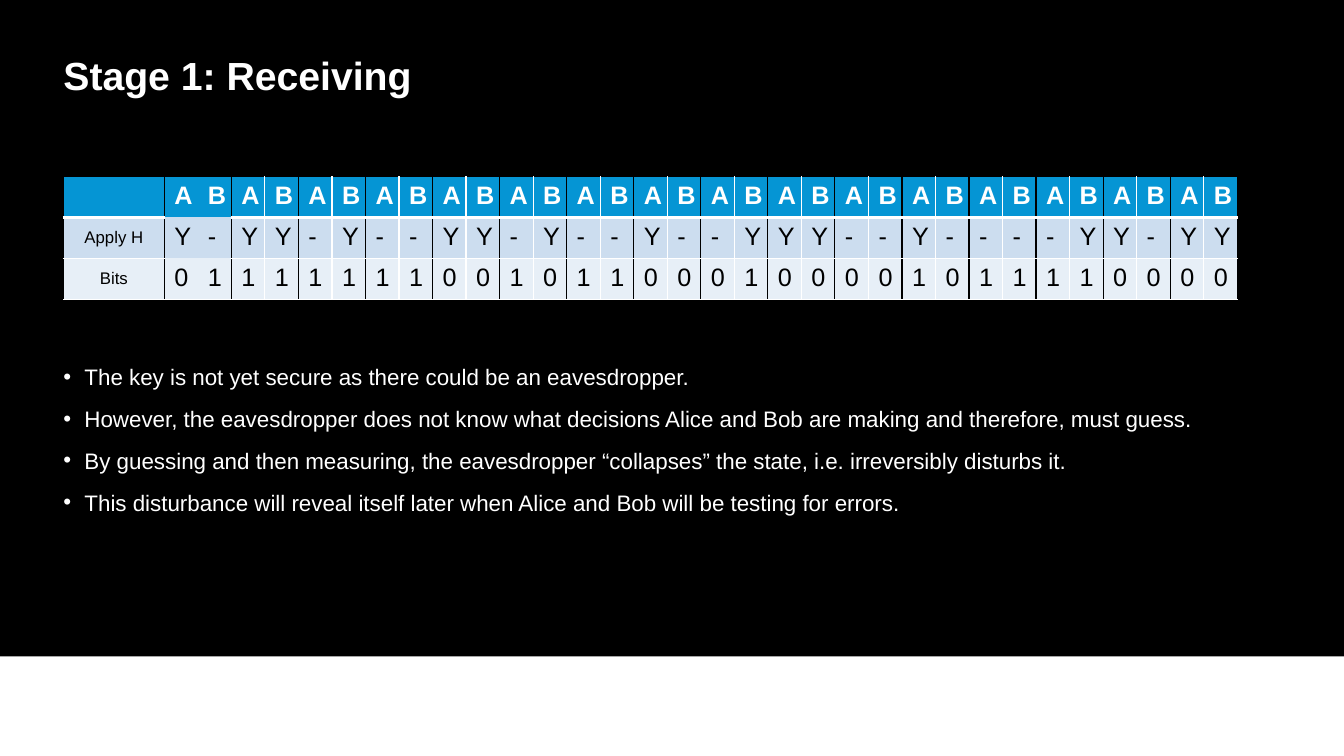
from lxml import etree
from pptx import Presentation
from pptx.dml.color import RGBColor
from pptx.enum.shapes import MSO_SHAPE
from pptx.enum.text import MSO_ANCHOR, PP_ALIGN
from pptx.oxml.ns import qn
from pptx.util import Cm, Pt

RECT = MSO_SHAPE.RECTANGLE
TOP, MIDDLE = MSO_ANCHOR.TOP, MSO_ANCHOR.MIDDLE
LEFT, CENTER = PP_ALIGN.LEFT, PP_ALIGN.CENTER

BLACK = RGBColor(0x00, 0x00, 0x00)
WHITE = RGBColor(0xFF, 0xFF, 0xFF)
BLUE = RGBColor(0x05, 0x95, 0xD4)
BAND_DARK = RGBColor(0xCC, 0xDD, 0xEF)
BAND_LIGHT = RGBColor(0xE7, 0xEF, 0xF7)

FONT = "Arial"
MARGIN, CONTENT_W = 1.6, 29.58
LABEL_W, ROW_H = 2.54, 1.03
HEADER = "AB" * 16
APPLY_H = "Y-YY-Y--YY-Y--Y--YYY--Y----YY-YY"
BITS = "01111111001011000100001011110000"
ROWS = [("", HEADER, BLUE), ("Apply H", APPLY_H, BAND_DARK), ("Bits", BITS, BAND_LIGHT)]
POINTS = [
    "The key is not yet secure as there could be an eavesdropper.",
    "However, the eavesdropper does not know what decisions Alice and Bob are making "
    "and therefore, must guess.",
    "By guessing and then measuring, the eavesdropper “collapses” the state, "
    "i.e. irreversibly disturbs it.",
    "This disturbance will reveal itself later when Alice and Bob will be testing for errors.",
]


def write(tf, lines, size, color=WHITE, bold=False, align=LEFT, spacing=1.0,
          after=0, bullet=False):
    for i, line in enumerate(lines):
        p = tf.paragraphs[0] if i == 0 else tf.add_paragraph()
        if bullet:
            pPr = p._p.get_or_add_pPr()
            pPr.set("marL", str(Cm(0.53)))
            pPr.set("indent", str(-Cm(0.53)))
            etree.SubElement(pPr, qn("a:buFont"), typeface=FONT)
            etree.SubElement(pPr, qn("a:buChar"), char="•")
        p.alignment, p.line_spacing, p.space_after = align, spacing, Pt(after)
        r = p.add_run()
        r.text = line
        r.font.name, r.font.size, r.font.bold = FONT, Pt(size), bold
        r.font.color.rgb = color


def add_text(s, box, lines, anchor=TOP, **fmt):
    tf = s.shapes.add_textbox(*map(Cm, box)).text_frame
    tf.word_wrap = True
    tf.vertical_anchor = anchor
    tf.margin_left = tf.margin_right = tf.margin_top = tf.margin_bottom = 0
    write(tf, lines, **fmt)


def set_borders(cell, **sides):
    """Each side (L, R, T, B in that order) is (colour, points) or None for no line."""
    tcPr = cell._tc.get_or_add_tcPr()
    for side, line in sides.items():
        ln = etree.SubElement(tcPr, qn(f"a:ln{side}"))
        if line is None:
            etree.SubElement(ln, qn("a:noFill"))
            continue
        color, width = line
        ln.set("w", str(Pt(width)))
        fill = etree.SubElement(ln, qn("a:solidFill"))
        etree.SubElement(fill, qn("a:srgbClr"), val=str(color))


def add_backdrop(s, box):
    sp = s.shapes.add_shape(RECT, *map(Cm, box))
    sp.shadow.inherit = False
    sp.fill.solid()
    sp.fill.fore_color.rgb = BLACK
    sp.line.fill.background()


def add_key_table(s, box):
    x, y, w, row_h = box
    n = len(HEADER)
    table = s.shapes.add_table(len(ROWS), n + 1, Cm(x), Cm(y), Cm(w),
                               Cm(row_h * len(ROWS))).table
    for i, column in enumerate(table.columns):
        column.width = Cm(LABEL_W if i == 0 else (w - LABEL_W) / n)

    black, white, thick = (BLACK, 1), (WHITE, 1), (WHITE, 3)
    for row, (label, marks, fill) in enumerate(ROWS):
        table.rows[row].height = Cm(row_h)
        header, last = row == 0, row == len(ROWS) - 1
        color = WHITE if header else BLACK
        for col, value in enumerate([label, *marks]):
            cell = table.cell(row, col)
            # Black lines part the A/B pairs; the first pair has no inner lines
            first_pair = col in (1, 2)
            inner = None if first_pair else white
            top = black if header else None if first_pair else thick if row == 1 else white
            bottom = (None if first_pair and not last
                      else thick if header else white)
            set_borders(cell,
                        L=inner if col and col % 2 == 0 else black,
                        R=inner if col % 2 else black,
                        T=top, B=bottom)
            cell.fill.solid()
            cell.fill.fore_color.rgb = fill
            if col == 0:
                cell.vertical_anchor = MIDDLE
            if value:
                write(cell.text_frame, [value], size=18 if col else 12, color=color,
                      bold=header, align=LEFT if col else CENTER)


def build_slide(prs):
    s = prs.slides.add_slide(prs.slide_layouts[6])
    # Background panel
    add_backdrop(s, (0, 0, 33.87, 16.54))
    # Explanation
    add_text(s, (MARGIN, 8.81, CONTENT_W, 3.78), POINTS, size=16, spacing=1.5,
             after=1.2, bullet=True)
    # Title
    add_text(s, (MARGIN, 1.37, CONTENT_W, 1.14), ["Stage 1: Receiving"], anchor=MIDDLE,
             size=28, bold=True, spacing=0.95)
    # Received bits
    add_key_table(s, (MARGIN, 4.45, CONTENT_W, ROW_H))


def main():
    prs = Presentation()
    prs.slide_width, prs.slide_height = Cm(33.87), Cm(19.05)
    build_slide(prs)
    prs.save("out.pptx")


if __name__ == "__main__":
    main()
